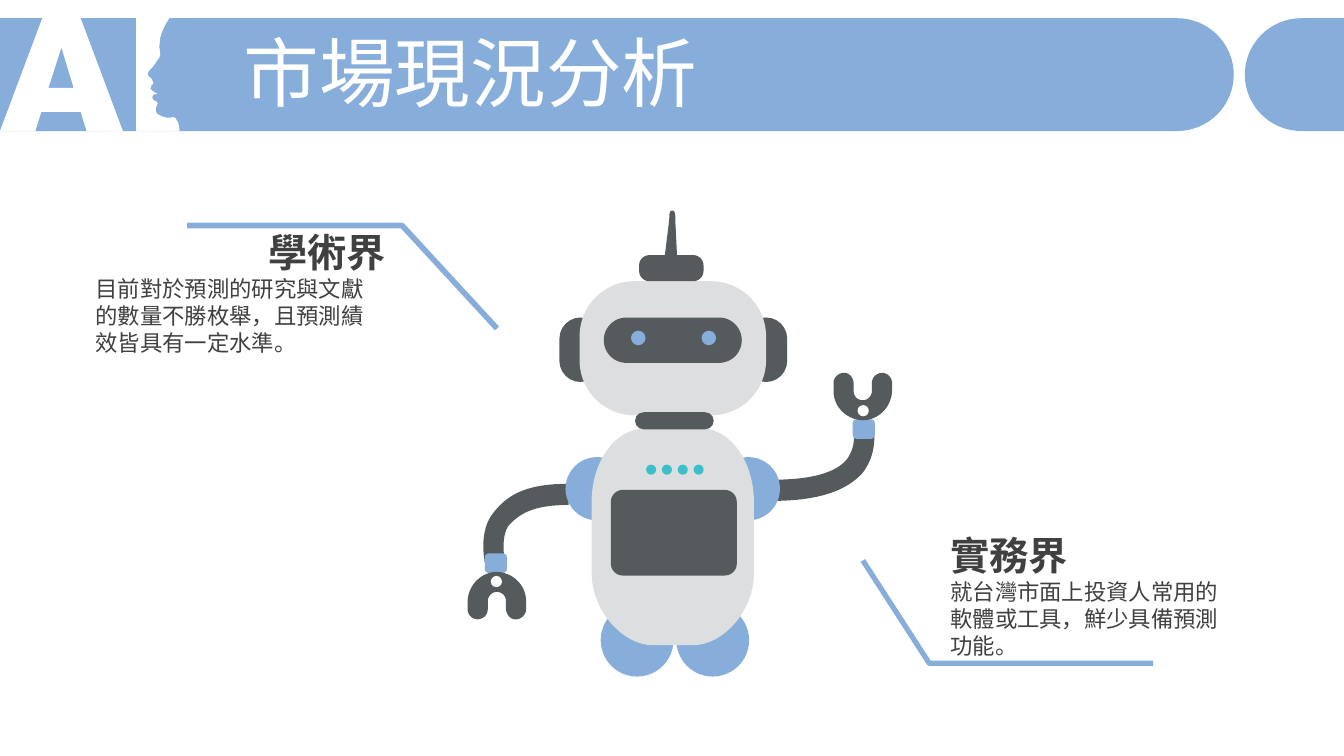
from dataclasses import dataclass

from lxml import etree
from pptx import Presentation
from pptx.dml.color import RGBColor
from pptx.enum.shapes import MSO_SHAPE
from pptx.enum.text import MSO_ANCHOR, MSO_AUTO_SIZE, PP_ALIGN
from pptx.oxml.ns import qn
from pptx.util import Pt

OVAL, ROUNDED = MSO_SHAPE.OVAL, MSO_SHAPE.ROUNDED_RECTANGLE
TOP, MIDDLE = MSO_ANCHOR.TOP, MSO_ANCHOR.MIDDLE
LEFT, RIGHT = PP_ALIGN.LEFT, PP_ALIGN.RIGHT
FIT, FIXED = MSO_AUTO_SIZE.SHAPE_TO_FIT_TEXT, MSO_AUTO_SIZE.NONE


@dataclass(frozen=True)
class Theme:
    blue: str = "87ADDB"
    dark: str = "555A5C"
    pale: str = "DCDEDF"
    teal: str = "3BC0CB"
    white: str = "FFFFFF"
    ink: str = "404040"
    title_font: str = "Arial"
    text_font: str = "Noto Sans CJK TC"
    title_size: int = 54
    heading_size: int = 28
    text_size: int = 16


THEME = Theme()


def paint(shape, color):
    shape.shadow.inherit = False
    shape.fill.solid()
    shape.fill.fore_color.rgb = RGBColor.from_string(color)
    shape.line.fill.background()


def add_preset(page, kind, box, color, roundness=None):
    shape = page.shapes.add_shape(kind, *(Pt(length) for length in box))
    if roundness is not None:
        shape.adjustments[0] = roundness
    paint(shape, color)


def flatten(contour, steps=16):
    """Pairs are corners; sextuples are Bézier curves from the last point."""
    points = [contour[0]]
    for node in contour[1:]:
        if len(node) == 2:
            points.append(node)
            continue
        knots = [points[-1], node[0:2], node[2:4], node[4:6]]
        for step in range(1, steps + 1):
            t = step / steps
            weights = ((1 - t) ** 3, 3 * t * (1 - t) ** 2, 3 * t * t * (1 - t), t ** 3)
            points.append(tuple(sum(w * knot[axis] for w, knot in zip(weights, knots))
                                for axis in (0, 1)))
    return points


def add_outline(page, origin, contours, color, line_width=None):
    """Filled outline, or an open line when line_width is given."""
    left, top = origin
    builder = None
    for contour in contours:
        points = [(Pt(left + x), Pt(top + y)) for x, y in flatten(contour)]
        if builder is None:
            builder = page.shapes.build_freeform(*points[0])
        else:
            builder.move_to(*points[0])
        builder.add_line_segments(points[1:], close=line_width is None)
    shape = builder.convert_to_shape()
    paint(shape, color)
    if line_width is not None:
        shape.fill.background()
        shape.line.color.rgb = RGBColor.from_string(color)
        shape.line.width = Pt(line_width)


def add_text(page, box, text, *, size, font, color, bold=False, align=LEFT,
             anchor=TOP, spacing=None, fit=FIT):
    frame = page.shapes.add_textbox(*(Pt(length) for length in box)).text_frame
    frame.word_wrap = True
    frame.auto_size = fit
    frame.vertical_anchor = anchor
    para = frame.paragraphs[0]
    para.alignment = align
    if spacing:
        para.line_spacing = spacing
    span = para.add_run()
    span.text = text
    span.font.size, span.font.bold, span.font.name = Pt(size), bold, font
    span.font.color.rgb = RGBColor.from_string(color)
    east_asian = etree.SubElement(span.font._element, qn("a:ea"))
    east_asian.set("typeface", font)


def draw_banner(page, box, title):
    left, top, width, height = box
    origin, middle = (left, top), height / 2
    curve = 0.45 * middle

    # Blue bar with a rounded end, and the tab at the right edge
    for flat, tip, edge in ((841, 881.3, 0), (929.5, 889.2, width)):
        pull = tip + (flat - tip) * 0.45
        add_outline(page, origin, [[
            (edge, 0), (flat, 0), (pull, 0, tip, curve, tip, middle),
            (tip, height - curve, pull, height, flat, height), (edge, height)]], THEME.blue)

    # Letter A, and letter I with a face profile
    letter_a = [(30.2, 0), (57.6, 0), (87.8, height), (61.9, height), (57.6, 67),
                (29.5, 67), (25.2, height), (0, height)]
    counter = [(43.9, 20.9), (34.6, 49.7), (52.6, 49.7)]
    profile = [(97.2, 0), (121, 0), (117.5, 5, 115.5, 10, 114.5, 13.7), (113.8, 20.2),
               (114.5, 25.9), (113.8, 28.1), (108.7, 35.3),
               (106.6, 36.7, 105.1, 39.6, 105.8, 41), (108.7, 43.9), (109.6, 46.5),
               (108, 48.2), (107.5, 50.5), (108.7, 51.8), (112.3, 54), (109.4, 54.7),
               (108.8, 56.5), (109.4, 58.3), (112.3, 59.8), (112.6, 61), (111.6, 63.4),
               (110.9, 65.5, 110.9, 68.4, 115.2, 69.8), (118.1, 71.3, 121, 71.3, 123.8, 70.6),
               (125.3, 71.3), (127.4, 74.9), (128.2, 79.2), (128.2, height), (97.2, height)]
    add_outline(page, origin, [letter_a, counter, profile], THEME.white)

    add_text(page, (left + 167, top + 13.6, 769.7, 57), title, size=THEME.title_size,
             font=THEME.title_font, color=THEME.white, anchor=MIDDLE, spacing=0.9, fit=FIXED)


def draw_hand(page, origin, upside_down=False):
    width, height, hole = 41.8, 34, 8
    grip = [(0, 7.2), (0, 13), (0, 25.2, 10.8, 34.6, 23, 33.8),
            (33.8, 32.4, 41.8, 23, 41.8, 12.2), (41.8, 7.2), (41.8, 3.6, 38.9, 0, 34.6, 0),
            (31, 0, 27.4, 2.9, 27.4, 7.2), (27.4, 13), (27.4, 15.8, 25.2, 18.7, 22.3, 19.4),
            (18, 20.2, 14.4, 17.3, 14.4, 13), (14.4, 7.9), (14.4, 4.3, 12.2, 0.7, 8.6, 0),
            (4.3, -0.7, 0, 2.9, 0, 7.2)]
    hole_x, hole_y = 17.2, 23
    if upside_down:
        grip = [(width - x, height - y) for x, y in flatten(grip)]
        hole_x, hole_y = width - hole_x - hole, height - hole_y - hole
    add_outline(page, origin, [grip], THEME.dark)
    add_preset(page, OVAL, (origin[0] + hole_x, origin[1] + hole_y, hole, hole), THEME.white)


def draw_robot(page, origin):
    left, top = origin

    def oval(x, y, size, color):
        add_preset(page, OVAL, (left + x, top + y, size, size), color)

    def rounded(x, y, width, height, color, roundness=0.5):
        add_preset(page, ROUNDED, (left + x, top + y, width, height), color, roundness)

    # Feet
    for x in (95.1, 149.1):
        oval(x, 281.3, 52, THEME.blue)

    # Arms, cuffs and hands
    left_arm = [(72.1, 195.6), (44, 195.6, 29.6, 202.1, 18.8, 215.8),
                (7.3, 229.4, 12.3, 251, 12.3, 251.8), (26.7, 251),
                (26.7, 252, 23.1, 233, 29.6, 225.1), (38.2, 215.8, 49, 210.7, 72.1, 210.7)]
    right_arm = [(218, 207.8), (250.6, 207.8, 270.8, 200.6, 282.3, 187.7),
                 (293.1, 173.3, 290.2, 158.2, 290.2, 157.4), (275.8, 160.3),
                 (275.8, 161, 277.3, 169.7, 270.8, 178.3),
                 (262.9, 187.7, 245.6, 192.7, 218, 192.7)]
    for arm, cuff, hand, upside_down in ((left_arm, (12.3, 245.3), (0, 258.4), True),
                                         (right_arm, (275.1, 149.5), (261.4, 116.4), False)):
        add_outline(page, origin, [arm], THEME.dark)
        rounded(*cuff, 15.8, 14, THEME.blue, 0.2)
        draw_hand(page, (left + hand[0], top + hand[1]), upside_down)

    # Shoulders and body
    for x in (69.9, 177.9):
        oval(x, 176.5, 45.2, THEME.blue)
    body = [(126.1, 156), (167.8, 156), (188, 156.7, 204.6, 179.8, 204.6, 208.6),
            (204.6, 259), (204.6, 287, 182.2, 310.8, 161.4, 310.8), (131.8, 310.8),
            (111.7, 310.8, 88.6, 287, 88.6, 259), (88.6, 208.6),
            (88.6, 179.8, 105.2, 156.7, 126.1, 156)]
    add_outline(page, origin, [body], THEME.pale)

    # Ears, head and antenna
    for x in (65.6, 198.1):
        rounded(x, 76.8, 30.2, 46.1, THEME.dark)
    rounded(80, 50.9, 133.2, 95.8, THEME.pale, 0.41)
    rounded(122.5, 32.2, 46.1, 18.7, THEME.dark, 0.4)
    antenna = [(144.1, 7), (140.5, 36), (149.8, 36), (148.4, 7),
               (148.4, 3.4, 148.4, 0.5, 146.2, 0.5), (144.1, 0.5, 144.1, 3.4, 144.1, 7)]
    add_outline(page, origin, [antenna], THEME.dark)

    # Lights, visor, eyes, neck and screen
    for index in range(4):
        oval(127.5 + 11.3 * index, 181.9, 7.2, THEME.teal)
    rounded(97.3, 76.8, 98.6, 32.4, THEME.dark)
    for x in (116.7, 167.1):
        oval(x, 86.2, 10.4, THEME.blue)
    rounded(119.6, 144.5, 56.2, 12.2, THEME.dark)
    rounded(102.3, 199.9, 90, 61.2, THEME.dark, 0.14)


def draw_callout(page, box, heading, text, align, leader, line_width):
    left, top, width, height = box
    add_outline(page, (left, top), [leader], THEME.blue, line_width)
    add_text(page, (left, top + 33.8, width, height - 33.8), text, size=THEME.text_size,
             font=THEME.text_font, color=THEME.ink)
    add_text(page, (left, top, width, 41.2), heading, size=THEME.heading_size,
             font=THEME.text_font, color=THEME.ink, bold=True, align=align, anchor=MIDDLE)


def main():
    deck = Presentation()
    deck.slide_width, deck.slide_height = Pt(960), Pt(540)
    page = deck.slides.add_slide(deck.slide_layouts[6])
    draw_banner(page, (0, 13, 960, 80.6), "市場現況分析")
    draw_robot(page, (334, 150))
    draw_callout(page, (61.2, 159.1, 221.5, 99.3), "學術界",
                 "目前對於預測的研究與文獻的數量不勝枚舉，且預測績效皆具有一定水準。",
                 RIGHT, [(293.8, 75.6), (226, 2), (72.5, 2)], 4)
    draw_callout(page, (671.8, 375.8, 221.5, 99.3), "實務界",
                 "就台灣市面上投資人常用的軟體或工具，鮮少具備預測功能。",
                 LEFT, [(-55.5, 24.5), (-8, 98), (151.8, 98)], 3.75)
    deck.save("out.pptx")


if __name__ == "__main__":
    main()
